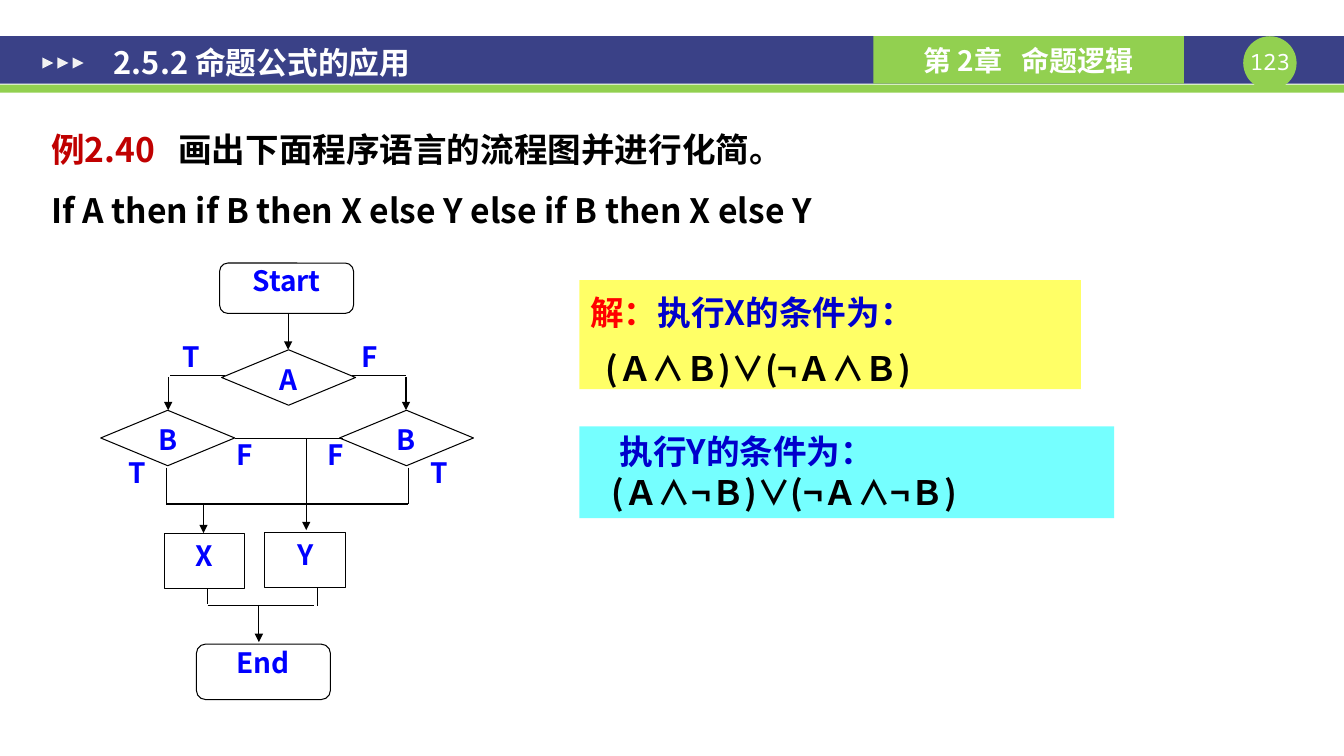
from lxml import etree
from pptx import Presentation
from pptx.dml.color import RGBColor as RGB
from pptx.enum.shapes import MSO_CONNECTOR as Link, MSO_SHAPE as Kind
from pptx.enum.text import MSO_ANCHOR as Anchor, PP_ALIGN as Align
from pptx.oxml.ns import qn
from pptx.util import Inches, Pt

FONT = "Noto Sans CJK SC"
NAVY, GREEN, WHITE, BLACK = "3A4187", "92D050", "FFFFFF", "000000"
BLUE, DEEP, RED = "0000FF", "0000CC", "FF0000"
WIDE = (0.13, 0.07)
PLAIN = (0.1, 0.05)


def cell(count):
    """Length of a number of grid cells; ten cells make an inch."""
    return Inches(count / 10)


def color(code):
    return RGB.from_string(code)


def sub(node, tag, **attrs):
    return etree.SubElement(node, qn(tag), **attrs)


def box(slide, kind, area, fill, line=None):
    shape = slide.shapes.add_shape(kind, *map(cell, area))
    shape.shadow.inherit = False
    shape.fill.solid()
    shape.fill.fore_color.rgb = color(fill)
    if line:
        shape.line.color.rgb = color(line)
        shape.line.width = Pt(0.75)
    else:
        shape.line.fill.background()
    return shape


def frame(shape, pad=PLAIN, anchor=Anchor.TOP):
    text = shape.text_frame
    text.word_wrap = True
    text.vertical_anchor = anchor
    text.margin_left = text.margin_right = Inches(pad[0])
    text.margin_top = text.margin_bottom = Inches(pad[1])
    return text


def note(slide, area, pad=PLAIN, anchor=Anchor.TOP):
    """Frame of a text box without fill."""
    return frame(slide.shapes.add_textbox(*map(cell, area)), pad, anchor)


def write(par, parts, size, align=Align.LEFT, lead=None, indent=0,
          before=0, font=FONT, bold=True):
    """Fill a paragraph from (text, colour, extra letter gap) parts."""
    par.alignment, par.line_spacing = align, lead
    par.space_before = Pt(before)
    if indent:
        par._p.get_or_add_pPr().set("marL", str(Inches(indent)))
    for words, ink, *gap in parts:
        run = par.add_run()
        run.text = words
        face = run.font
        face.size, face.bold, face.name = Pt(size), bold, font
        face.color.rgb = color(ink)
        props = run._r.get_or_add_rPr()
        sub(props, "a:ea", typeface=font)
        if gap:
            props.set("spc", str(gap[0] * 100))


def node(slide, kind, area, words, line=BLACK, lead=None, align=Align.CENTER):
    text = frame(box(slide, kind, area, WHITE, line))
    write(text.paragraphs[0], [(words, BLUE)], 20, align, lead)


def wire(slide, ends, arrow=False):
    link = slide.shapes.add_connector(Link.STRAIGHT, *map(cell, ends))
    link.line.color.rgb = color(BLACK)
    link.line.width = Pt(0.75)
    if arrow:
        sub(link.line._get_or_add_ln(), "a:tailEnd", type="triangle")
    sub(link._element.spPr, "a:effectLst")


def header(slide):
    box(slide, Kind.RECTANGLE, (0, 3.6, 133.4, 4.7), NAVY)
    box(slide, Kind.RECTANGLE, (0, 8.4, 133.4, 0.8), GREEN)
    box(slide, Kind.OVAL, (123.4, 3.6, 5.3, 5.3), GREEN)
    page = note(slide, (123.4, 4.8, 5.3, 2.7), (0, 0))
    write(page.paragraphs[0], [("123", WHITE)], 16, Align.CENTER,
          font="Noto Sans Mono", bold=False)
    tab = box(slide, Kind.RECTANGLE, (86.7, 3.6, 30.8, 4.7), GREEN)
    write(frame(tab, anchor=Anchor.MIDDLE).paragraphs[0],
          [("第 2章", WHITE), (" ", WHITE, 9), ("命题逻辑", WHITE)],
          20, Align.CENTER)
    for step in range(3):
        mark = box(slide, Kind.ISOSCELES_TRIANGLE,
                   (4.2 + 1.5 * step, 5.7, 1.1, 1.1), "F2F2F2")
        mark.rotation = 90
    title = note(slide, (10, 1.1, 88.2, 10.1), WIDE, Anchor.MIDDLE)
    write(title.paragraphs[0], [("2.5.2 命题公式的应用", WHITE)], 22)


def task(slide):
    text = note(slide, (3.8, 10.1, 90.6, 13.2), WIDE)
    write(text.paragraphs[0],
          [("例2.40", "C00000"), (" ", BLACK, 11),
           ("画出下面程序语言的流程图并进行化简。", BLACK)], 24, lead=1.5)
    write(text.add_paragraph(),
          [("If A then if B then X else Y else if B then X else Y", BLACK)],
          24, lead=1.5)


def flow(slide):
    for words, left, top, width in (
            ("T", 16.3, 33.2, 5.3), ("F", 34.9, 33.2, 5.3),
            ("F", 21.6, 42.9, 5.3), ("T", 11, 44.7, 5.3),
            ("F", 30.7, 42.9, 5.3), ("T", 41.7, 44.7, 2.7)):
        align = Align.JUSTIFY if left == 34.9 else Align.CENTER
        node(slide, Kind.RECTANGLE, (left, top, width, 5.5), words, None,
             align=align)
    for ends in ((34.9, 37.3, 40.3, 37.3), (22.3, 37.3, 16.9, 37.3),
                 (20.6, 58.1, 20.6, 59.9), (31.5, 58.3, 31.5, 60.1),
                 (20.6, 60.1, 31.2, 60.1), (16.5, 50, 40.5, 50),
                 (16.5, 46.4, 16.5, 50), (40.5, 46.4, 40.5, 50)):
        wire(slide, ends)
    for x, top, end in ((28.6, 31.1, 34.7), (40.3, 37.4, 40.7),
                        (16.7, 37.4, 40.7), (25.7, 60, 63.7),
                        (20.2, 50, 52.9)):
        wire(slide, (x, top, x, end), True)
    for words, left, top, high in (("Start", 21.8, 26.1, 5),
                                   ("End", 19.5, 63.9, 5.5)):
        node(slide, Kind.FLOWCHART_ALTERNATE_PROCESS,
             (left, top, 13.3, high), words, lead=0.8)
    for words, left, top in (("A", 22, 34.7), ("B", 33.7, 40.7),
                             ("B", 10, 40.7)):
        node(slide, Kind.FLOWCHART_DECISION, (left, top, 13.3, 5.5), words,
             lead=0.8)
    for words, left, top in (("X", 16.3, 52.9), ("Y", 26.3, 52.8)):
        node(slide, Kind.FLOWCHART_PROCESS, (left, top, 8, 5.5), words)
    wire(slide, (30.4, 43.5, 30.4, 52.6), True)
    wire(slide, (23.3, 43.5, 34, 43.5))


def answer(slide):
    first = box(slide, Kind.RECTANGLE, (57.5, 27.8, 49.8, 10.8), "FFFF66")
    text = frame(first, (0.04, 0.04))
    write(text.paragraphs[0], [("解：", RED), ("执行X的条件为：", DEEP)],
          24, Align.JUSTIFY, 1.2, 0.07, 5)
    write(text.add_paragraph(), [("(Ａ∧Ｂ)∨(¬Ａ∧Ｂ)", BLACK)],
          24, Align.JUSTIFY, 1.2, 0.22, 5)
    other = box(slide, Kind.RECTANGLE, (57.5, 42.3, 53.1, 9.1), "66FFFF")
    sub(other.fill._xPr.find(qn("a:solidFill"))[0], "a:alpha", val="90000")
    text = frame(other)
    write(text.paragraphs[0], [("执行Y的条件为：", DEEP)], 24, indent=0.3)
    write(text.add_paragraph(), [("(Ａ∧¬Ｂ)∨(¬Ａ∧¬Ｂ)", BLACK)], 24,
          indent=0.22)


def main():
    deck = Presentation()
    deck.slide_width, deck.slide_height = cell(133.4), cell(75)
    slide = deck.slides.add_slide(deck.slide_layouts[6])
    header(slide)
    task(slide)
    flow(slide)
    answer(slide)
    deck.save("out.pptx")


if __name__ == "__main__":
    main()
